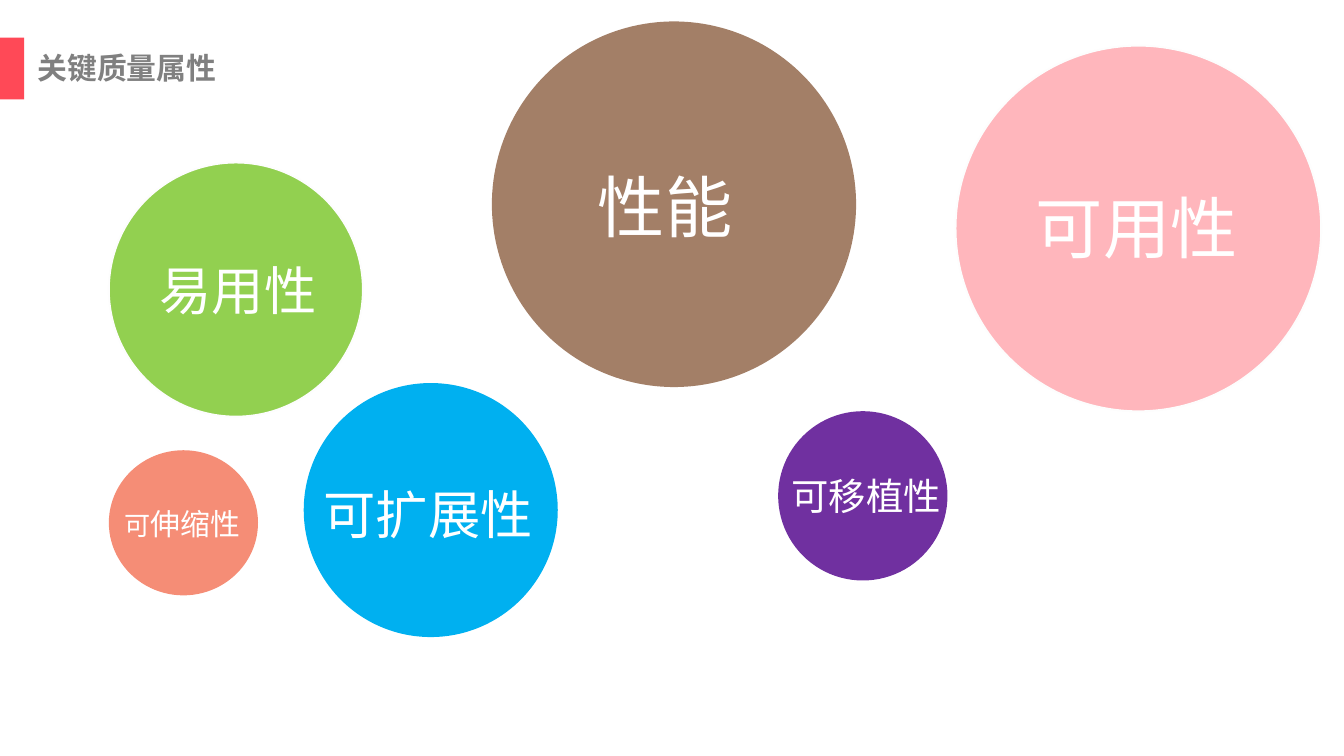
from dataclasses import dataclass
from typing import Optional

from lxml import etree
from pptx import Presentation
from pptx import util as u
from pptx.dml.color import RGBColor
from pptx.enum import shapes, text
from pptx.oxml.ns import qn

FONT = "Noto Sans CJK SC"
COLORS = {
    "accent": "FF4957", "title": "808080", "white": "FFFFFF", "outline": "FDFDFD",
    "pink": "FFB6BC", "brown": "A37F67", "blue": "00B0F0",
    "coral": "F58D76", "green": "92D050", "purple": "7030A0",
}
WIDTH = u.Inches(10)
HEIGHT = WIDTH * 9 // 16  # widescreen
PADDING = 0.01  # label inset, left and right


# All lengths are shares of the slide width
@dataclass
class Attribute:
    runs: list[tuple[str, int]]  # wording and point size
    color: str
    circle: tuple[float, float, float, float]
    label: tuple[float, float]
    outlined: bool = False
    label_width: Optional[float] = None


ATTRIBUTES = [
    Attribute([("可用性", 36)], "pink", (0.711, 0.034, 0.272, 0.272), (0.761, 0.134), True),
    Attribute([("性能", 36)], "brown", (0.366, 0.016, 0.271, 0.272), (0.435, 0.118)),
    Attribute([("可扩展性", 28)], "blue", (0.226, 0.285, 0.189, 0.189), (0.231, 0.354)),
    Attribute([("可", 14), ("伸缩性", 16)], "coral", (0.081, 0.335, 0.111, 0.108), (0.083, 0.371)),
    Attribute([("易用性", 28)], "green", (0.081, 0.121, 0.189, 0.189), (0.109, 0.187), True, 0.162),
    Attribute([("可移植性", 20)], "purple", (0.579, 0.306, 0.126, 0.126), (0.579, 0.347)),
]


def share(value: float) -> int:
    return round(WIDTH * value)


def add_filled(slide, kind, box, color: str, outlined: bool = False) -> None:
    shape = slide.shapes.add_shape(kind, *map(share, box))
    shape.shadow.inherit = False
    shape.fill.solid()
    shape.fill.fore_color.rgb = RGBColor.from_string(COLORS[color])
    if outlined:
        shape.line.color.rgb = RGBColor.from_string(COLORS["outline"])
        shape.line.width = u.Pt(1)
    else:
        shape.line.fill.background()


def add_text(slide, runs, left: float, top: float, color: str, padding: float = PADDING,
             width: Optional[float] = None, bold: bool = False) -> None:
    # Box size follows from the glyph count and the largest size
    natural = sum(len(words) * size for words, size in runs) / 720 + 2 * padding
    height = max(size for _, size in runs) * 1.2 / 720 + padding
    box = slide.shapes.add_textbox(*map(share, (left, top, width or natural, height)))
    frame = box.text_frame
    frame.word_wrap = width is not None
    frame.margin_left = frame.margin_right = share(padding)
    frame.margin_top = frame.margin_bottom = share(padding / 2)
    frame.vertical_anchor = text.MSO_ANCHOR.TOP
    paragraph = frame.paragraphs[0]
    for words, size in runs:
        run = paragraph.add_run()
        run.text = words
        run.font.size = u.Pt(size)
        run.font.bold = bold
        run.font.name = FONT
        run.font.color.rgb = RGBColor.from_string(COLORS[color])
        # East Asian typeface
        etree.SubElement(run.font._element, qn("a:ea"), typeface=FONT)


def main() -> None:
    deck = Presentation()
    deck.slide_width, deck.slide_height = WIDTH, HEIGHT
    slide = deck.slides.add_slide(deck.slide_layouts[6])

    # Heading with its accent bar
    add_filled(slide, shapes.MSO_SHAPE.RECTANGLE, (0, 0.028, 0.018, 0.046), "accent")
    add_text(slide, [("关键质量属性", 16)], 0.028, 0.037, "title", padding=0, bold=True)

    # Quality attributes
    for item in ATTRIBUTES:
        add_filled(slide, shapes.MSO_SHAPE.OVAL, item.circle, item.color, item.outlined)
        add_text(slide, item.runs, *item.label, "white", width=item.label_width)

    deck.save("out.pptx")


if __name__ == "__main__":
    main()
